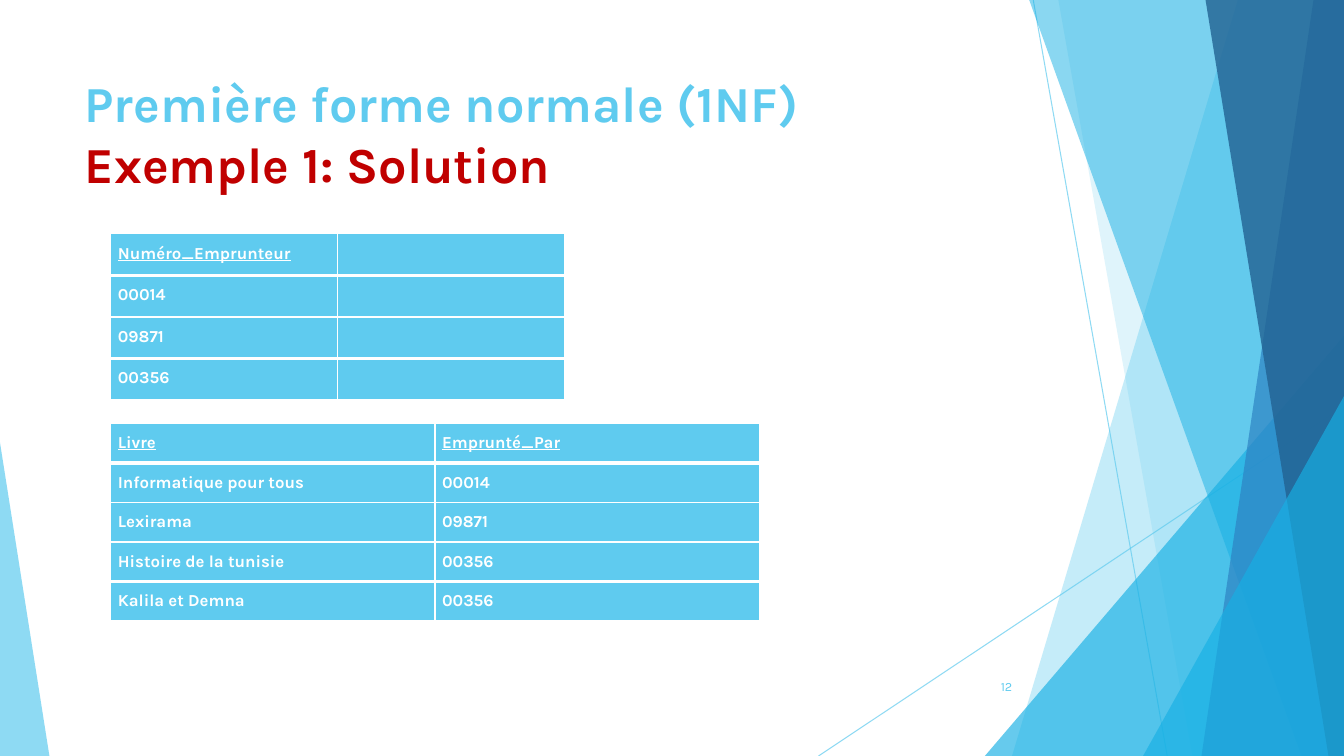
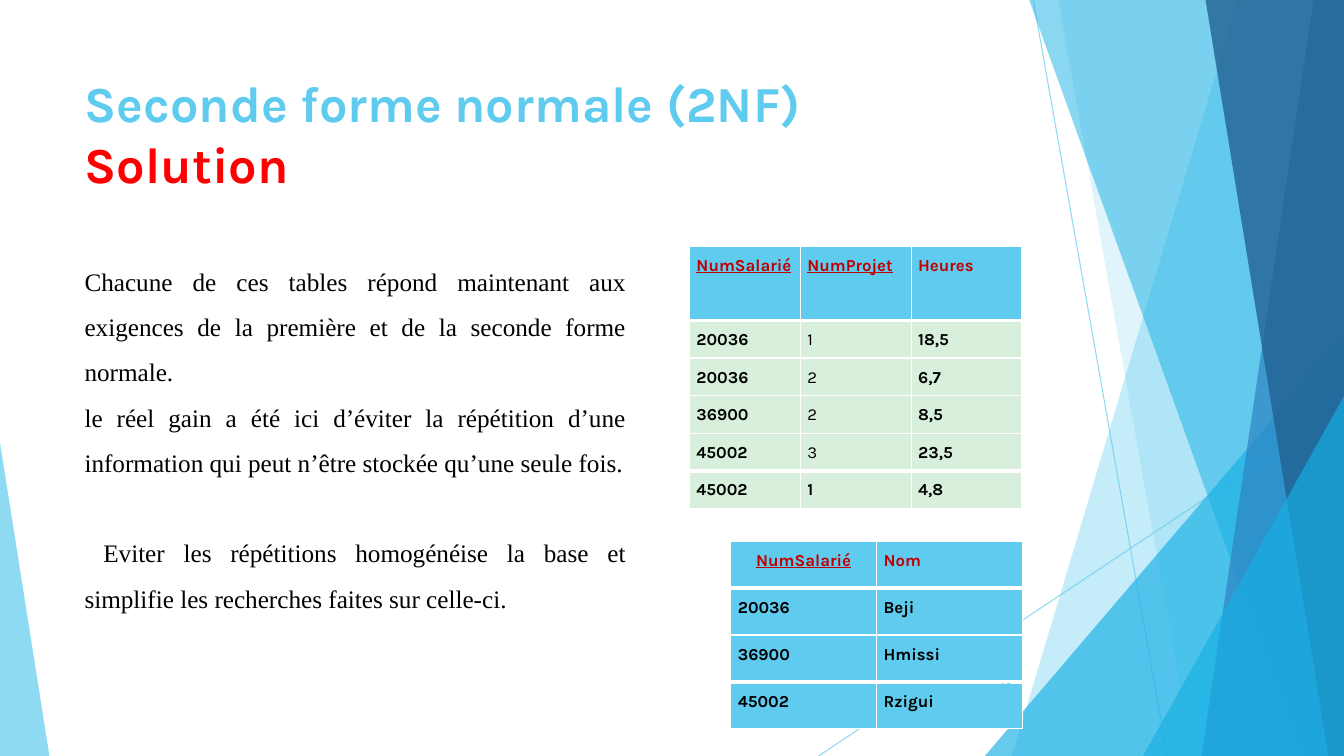
from dataclasses import dataclass

from lxml.etree import SubElement
from pptx import Presentation
from pptx.dml.color import RGBColor
from pptx.enum.shapes import MSO_CONNECTOR as Connector, MSO_SHAPE as Preset
from pptx.enum.text import MSO_ANCHOR as Anchor, PP_ALIGN as Align
from pptx.oxml import parse_xml
from pptx.oxml.ns import nsdecls, qn
from pptx.util import Inches, Pt

WIDTH, HEIGHT = Inches(13.333), Inches(7.5)
COLORS = {
    "sky": "5FCBEF", "cyan": "17B0E4", "blue": "2E83C3", "navy": "226292",
    "mint": "D8F0DB", "white": "FFFFFF", "black": "000000",
    "dark red": "C00000", "red": "FF0000",
}
FONT, BODY_FONT = "Karla", "Times New Roman"


# Lengths are percentages of the slide's width and height
def across(percent: float) -> int:
    return round(WIDTH * percent / 100)


def down(percent: float) -> int:
    return round(HEIGHT * percent / 100)


@dataclass(frozen=True)
class Box:
    left: float
    top: float
    width: float
    height: float

    def place(self) -> tuple[int, int, int, int]:
        return across(self.left), down(self.top), across(self.width), down(self.height)


@dataclass(frozen=True)
class Ray:
    start: tuple[float, float]
    end: tuple[float, float]


@dataclass(frozen=True)
class Band:
    """Full-height facet between a slanted edge and the slide's right edge."""
    top: float
    bottom: float
    color: str
    opacity: int


@dataclass(frozen=True)
class Corner:
    """Right triangle standing on the slide's bottom edge."""
    box: Box
    apex: int
    color: str
    opacity: int


@dataclass(frozen=True)
class Grid:
    left: float
    top: float
    column: float
    row: float
    cells: tuple[tuple[str, ...], ...]
    keys: int
    header_row: float = 0
    header_color: str = "white"
    body_color: str = "white"
    body_fill: str = "sky"
    first_align: Align = Align.JUSTIFY
    light_cells: frozenset[tuple[int, int]] = frozenset()


BACKDROP = (
    Ray((76.88, 0), (86.85, 100)),
    Ray((100, 53.73), (60.9, 100)),
    Band(92.1, 75.3, "sky", 36),
    Band(78.75, 88.73, "sky", 20),
    Corner(Box(73.28, 44.4, 26.72, 55.6), 1, "cyan", 66),
    Band(76.58, 96.83, "cyan", 50),
    Band(97.73, 89.4, "blue", 70),
    Band(89.7, 98.85, "navy", 80),
    Corner(Box(85.05, 52.4, 14.95, 47.6), 1, "cyan", 66),
    Corner(Box(0, 58.53, 3.68, 41.47), 0, "sky", 70),
)
TITLE_BOX = Box(5.55, 8.93, 70.5, 19.2)
BODY_BOX = Box(5.55, 32.53, 41.78, 49.07)
NUMBER_BOX = Box(70.43, 88.13, 5.62, 5.33)

BORROWERS = Grid(8.25, 30.93, 16.88, 5.5, (
    ("Numéro_Emprunteur", ""),
    ("00014", ""),
    ("09871", ""),
    ("00356", ""),
), keys=1)
BOOKS = Grid(8.25, 56, 24.12, 5.23, (
    ("Livre", "Emprunté_Par"),
    ("Informatique pour tous", "00014"),
    ("Lexirama", "09871"),
    ("Histoire de la tunisie", "00356"),
    ("Kalila et Demna", "00356"),
), keys=2)
EMPLOYEES = Grid(54.38, 71.6, 10.84, 6.2, (
    ("NumSalarié", "Nom"),
    ("20036", "Beji"),
    ("36900", "Hmissi"),
    ("45002", "Rzigui"),
), keys=1, header_color="dark red", body_color="black", first_align=Align.CENTER)
HOURS = Grid(51.3, 32.53, 8.25, 4.97, (
    ("NumSalarié", "NumProjet", "Heures"),
    ("20036", "1", "18,5"),
    ("20036", "2", "6,7"),
    ("36900", "2", "8,5"),
    ("45002", "3", "23,5"),
    ("45002", "1", "4,8"),
), keys=2, header_row=9.87, header_color="dark red", body_color="black",
    body_fill="mint", light_cells=frozenset((row, 1) for row in range(1, 5)))

BODY = (
    "Chacune de ces tables répond maintenant aux exigences de la première "
    "et de la seconde forme normale.",
    "le réel gain a été ici d’éviter la répétition d’une information "
    "qui peut n’être stockée qu’une seule fois.",
    " Eviter les répétitions homogénéise la base et simplifie les recherches "
    "faites sur celle-ci.",
)


# Text and colour
def rgb(name: str) -> RGBColor:
    return RGBColor.from_string(COLORS[name])


def write(paragraph, text: str, *, size: float, color: str, font: str = FONT,
          bold: bool = False, underline: bool = False, align: Align = Align.LEFT,
          spacing: float = 1, before: float = 0) -> None:
    paragraph.alignment = align
    paragraph.line_spacing = spacing
    paragraph.space_before = Pt(before)
    run = paragraph.add_run()
    run.text = text
    run.font.name, run.font.size = font, Pt(size)
    run.font.bold, run.font.underline = bold, underline
    run.font.color.rgb = rgb(color)


def set_opacity(shape, percent: int) -> None:
    for color in shape.element.spPr.iter(qn("a:srgbClr")):
        SubElement(color, qn("a:alpha")).set("val", str(percent * 1000))


# Backdrop shared by both slides
def draw_ray(shapes, ray: Ray) -> None:
    (x1, y1), (x2, y2) = ray.start, ray.end
    line = shapes.add_connector(Connector.STRAIGHT, across(x1), down(y1),
                                across(x2), down(y2))
    line.line.color.rgb = rgb("sky")
    line.line.width = Pt(0.75)
    set_opacity(line, 70)
    SubElement(line.element.spPr, qn("a:effectLst"))


def draw_facet(shapes, facet: Band | Corner) -> None:
    if isinstance(facet, Band):
        builder = shapes.build_freeform(across(facet.top), 0)
        builder.add_line_segments([(WIDTH, 0), (WIDTH, HEIGHT),
                                   (across(facet.bottom), HEIGHT)], close=True)
        shape = builder.convert_to_shape()
    else:
        shape = shapes.add_shape(Preset.ISOSCELES_TRIANGLE, *facet.box.place())
        shape.adjustments[0] = facet.apex
    shape.shadow.inherit = False
    shape.fill.solid()
    shape.fill.fore_color.rgb = rgb(facet.color)
    shape.line.fill.background()
    set_opacity(shape, facet.opacity)


def install_backdrop(slide, layout) -> None:
    group = slide.shapes.add_group_shape()
    for part in BACKDROP:
        if isinstance(part, Ray):
            draw_ray(group.shapes, part)
        else:
            draw_facet(group.shapes, part)
    layout.shapes.element.insert(2, group.element)


# Tables
def set_borders(cell, top: float, bottom: float) -> None:
    properties = cell._tc.get_or_add_tcPr()
    edges = {"lnL": 1, "lnR": 1, "lnT": top, "lnB": bottom}
    for index, (edge, points) in enumerate(edges.items()):
        properties.insert(index, parse_xml(
            f'<a:{edge} {nsdecls("a")} w="{Pt(points)}"><a:solidFill>'
            f'<a:srgbClr val="{COLORS["white"]}"/></a:solidFill></a:{edge}>'))


def draw_grid(slide, grid: Grid) -> None:
    rows, columns = len(grid.cells), len(grid.cells[0])
    box = Box(grid.left, grid.top, columns * grid.column, rows * grid.row)
    table = slide.shapes.add_table(rows, columns, *box.place()).table
    table.first_row = table.horz_banding = False
    for column in table.columns:
        column.width = across(grid.column)
    for row in table.rows:
        row.height = down(grid.row)
    table.rows[0].height = down(grid.header_row or grid.row)

    thick_rules = {1, rows - 1}
    for r, texts in enumerate(grid.cells):
        header = r == 0
        for c, text in enumerate(texts):
            cell = table.cell(r, c)
            cell.margin_left = cell.margin_right = Inches(0.07)
            cell.margin_top = cell.margin_bottom = 0
            cell.fill.solid()
            cell.fill.fore_color.rgb = rgb("sky" if header else grid.body_fill)
            set_borders(cell, 3 if r in thick_rules else 1,
                        3 if r + 1 in thick_rules else 1)
            if text:
                write(cell.text_frame.paragraphs[0], text, size=12, spacing=1.5,
                      color=grid.header_color if header else grid.body_color,
                      bold=(r, c) not in grid.light_cells,
                      underline=header and c < grid.keys,
                      align=grid.first_align if r == c == 0 else Align.JUSTIFY)


# Slide parts
def add_text_box(slide, box: Box):
    frame = slide.shapes.add_textbox(*box.place()).text_frame
    frame.word_wrap = True
    return frame


def set_title(slide, heading: str, subheading: str, accent: str) -> None:
    title = slide.shapes.title
    title.left, title.top, title.width, title.height = TITLE_BOX.place()
    title.text_frame.vertical_anchor = Anchor.TOP
    paragraph = title.text_frame.paragraphs[0]
    write(paragraph, heading, size=36, color="sky", bold=True)
    paragraph.add_line_break()
    write(paragraph, subheading, size=36, color=accent, bold=True)


def add_number(slide, number: int) -> None:
    frame = add_text_box(slide, NUMBER_BOX)
    frame.vertical_anchor = Anchor.MIDDLE
    write(frame.paragraphs[0], str(number), size=9, color="sky", align=Align.RIGHT)


def add_body(slide) -> None:
    frame = add_text_box(slide, BODY_BOX)
    for index, text in enumerate(BODY):
        paragraph = frame.add_paragraph() if index else frame.paragraphs[0]
        write(paragraph, text, size=18, color="black", font=BODY_FONT,
              align=Align.JUSTIFY, spacing=1.5,
              before=32 if index == len(BODY) - 1 else 0)


def main() -> None:
    presentation = Presentation()
    presentation.slide_width, presentation.slide_height = WIDTH, HEIGHT
    layout = presentation.slide_layouts[5]

    # First normal form
    first = presentation.slides.add_slide(layout)
    install_backdrop(first, layout)
    set_title(first, "Première forme normale (1NF)", "Exemple 1: Solution", "dark red")
    draw_grid(first, BORROWERS)
    draw_grid(first, BOOKS)
    add_number(first, 12)

    # Second normal form
    second = presentation.slides.add_slide(layout)
    set_title(second, "Seconde forme normale (2NF)", "Solution", "red")
    draw_grid(second, EMPLOYEES)
    draw_grid(second, HOURS)
    add_body(second)
    add_number(second, 16)

    presentation.save("out.pptx")


if __name__ == "__main__":
    main()
